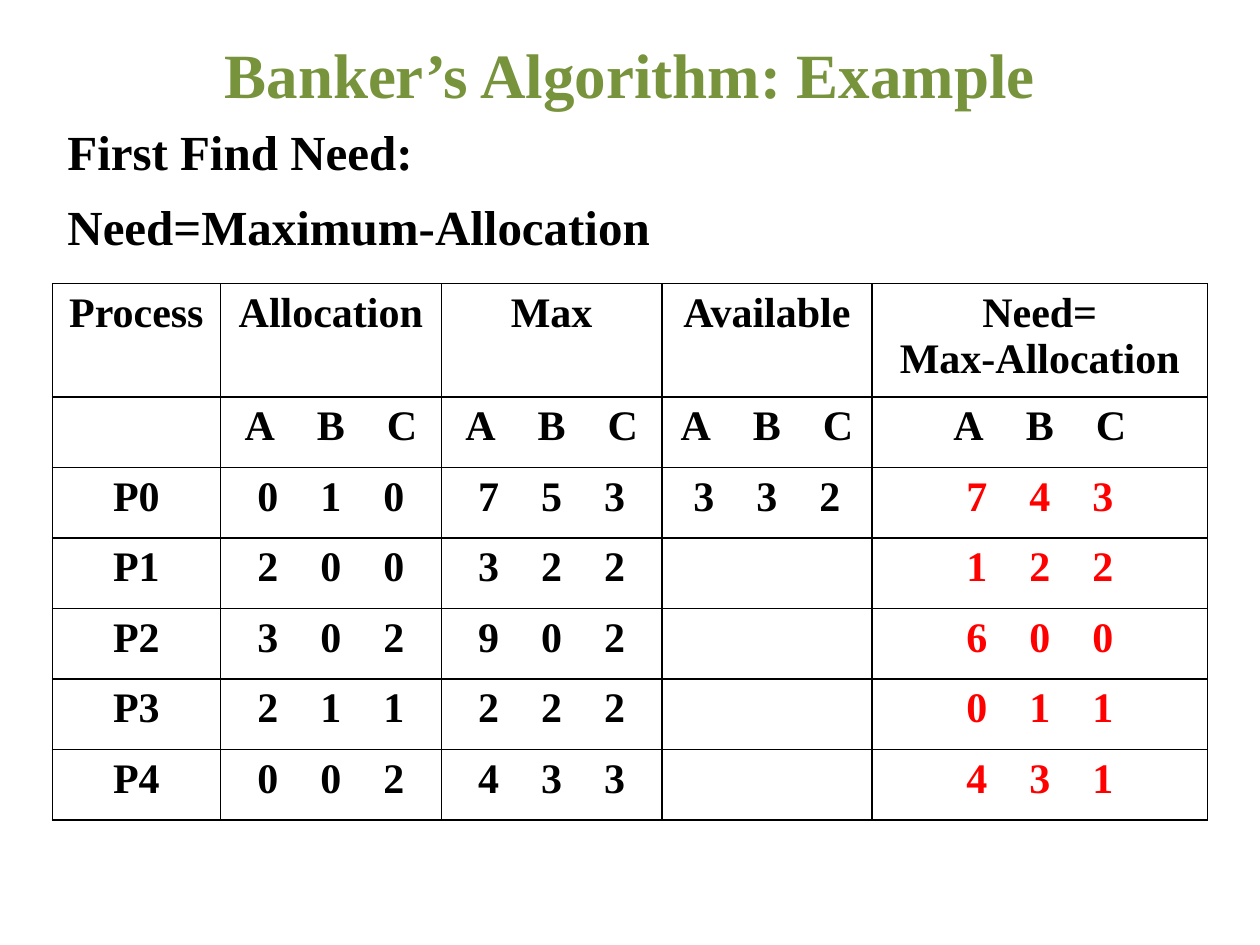
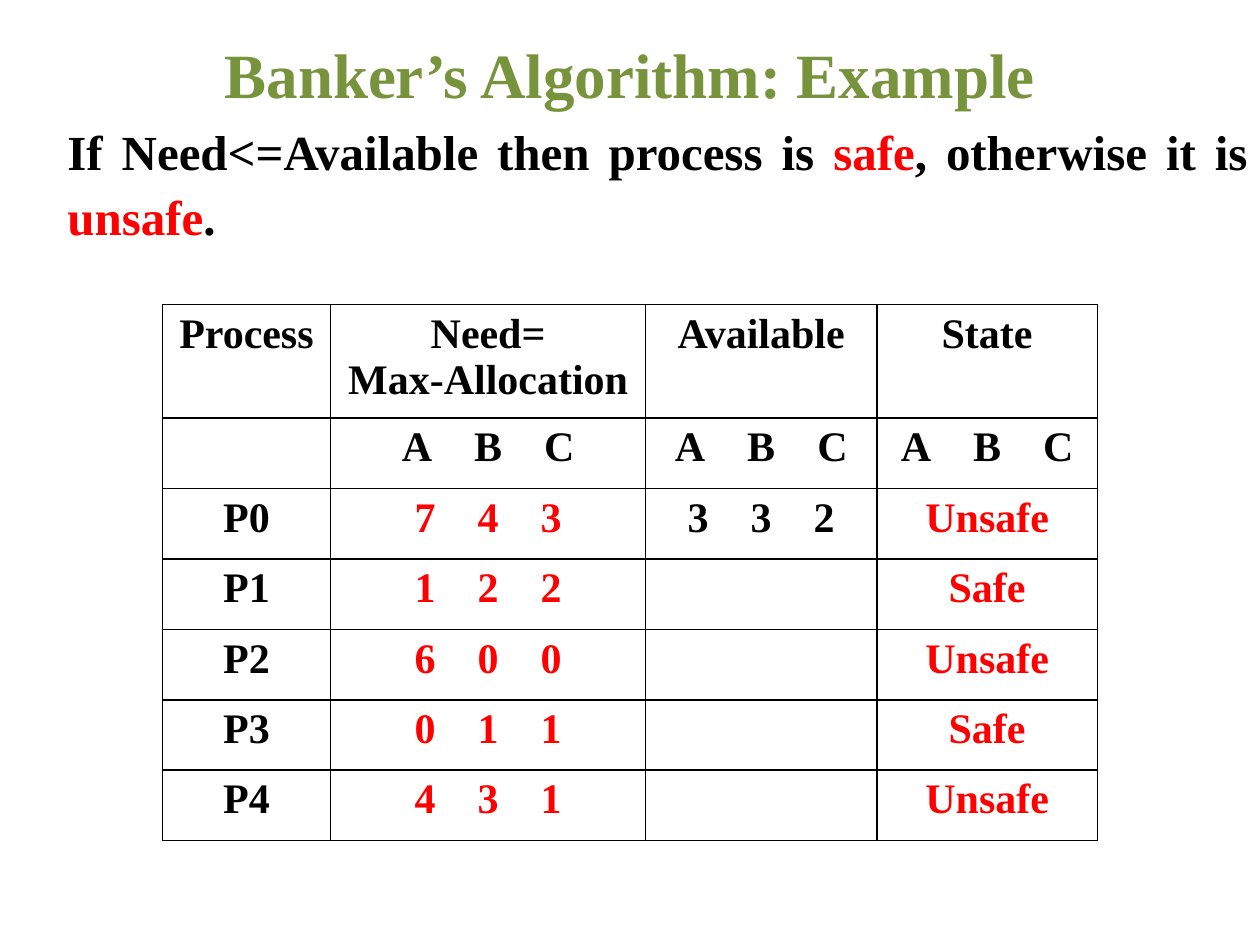
from lxml import etree
from pptx import Presentation
from pptx.dml.color import RGBColor
from pptx.enum.text import MSO_ANCHOR, PP_ALIGN
from pptx.oxml.ns import qn
from pptx.util import Cm, Pt

CENTER, JUSTIFY = PP_ALIGN.CENTER, PP_ALIGN.JUSTIFY
MIDDLE = MSO_ANCHOR.MIDDLE

FONT = "Times New Roman"
GREEN, BLACK, RED = "77933C", "000000", "FF0000"
PAGE_WIDTH, PAGE_HEIGHT = 25.4, 19.05
BODY_TOP = 2.21
HEADER_HEIGHT, ROW_HEIGHT = 2.13, 1.42
GAP_SPACING = 1800  # widens the single space between resource counts, in 1/100 pt


def hex_color(value):
    return RGBColor.from_string(value)


def add_span(para, text, size, color):
    span = para.add_run()
    span.text = text
    span.font.name = FONT
    span.font.size = Pt(size)
    span.font.bold = True
    span.font.color.rgb = hex_color(color)
    return span


# The banker's data: need and state follow from allocation, maximum and available
resources = "A B C"
available = (3, 3, 2)
allocations = [(0, 1, 0), (2, 0, 0), (3, 0, 2), (2, 1, 1), (0, 0, 2)]
maximums = [(7, 5, 3), (3, 2, 2), (9, 0, 2), (2, 2, 2), (4, 3, 3)]
needs = [tuple(most - held for most, held in zip(maximum, allocation))
         for maximum, allocation in zip(maximums, allocations)]
states = ["Safe" if all(need <= free for need, free in zip(row, available)) else "Unsafe"
          for row in needs]

# Each column: heading, second heading, entries, colour of the entries, width
process_column = ("Process", "", [f"P{i}" for i in range(len(needs))], BLACK, 3.39)
need_column = ("Need=\nMax-Allocation", resources, needs, RED)
available_column = ("Available", resources, [available, "", "", "", ""], BLACK)

pages = [
    {
        "body": [[("First Find Need:", BLACK)], [("Need=Maximum-Allocation", BLACK)]],
        "table_top": 5.72,
        "columns": [
            process_column,
            ("Allocation", resources, allocations, BLACK, 4.45),
            ("Max", resources, maximums, BLACK, 4.45),
            (*available_column, 4.23),
            (*need_column, 6.77),
        ],
    },
    {
        "body": [[("If Need<=Available then process is ", BLACK), ("safe", RED),
                  (", otherwise it is ", BLACK), ("unsafe", RED), (".", BLACK)]],
        "table_top": 6.14,
        "columns": [
            process_column,
            (*need_column, 6.35),
            (*available_column, 4.66),
            ("State", resources, states, RED, 4.45),
        ],
    },
]

deck = Presentation()
deck.slide_width, deck.slide_height = Cm(PAGE_WIDTH), Cm(PAGE_HEIGHT)

for content in pages:
    page = deck.slides.add_slide(deck.slide_layouts[6])

    # Body text
    box = page.shapes.add_textbox(0, Cm(BODY_TOP), Cm(PAGE_WIDTH), Cm(PAGE_HEIGHT - BODY_TOP))
    frame = box.text_frame
    frame.word_wrap = True
    for index, spans in enumerate(content["body"]):
        para = frame.add_paragraph() if index else frame.paragraphs[0]
        para.alignment = JUSTIFY
        para.line_spacing = 1.1
        para.space_before = Pt(5.6) if index else Pt(0)
        para._p.get_or_add_pPr().set("marL", str(Cm(1.11)))
        for text, color in spans:
            add_span(para, text, 28, color)

    # Title
    box = page.shapes.add_textbox(0, 0, Cm(PAGE_WIDTH), Cm(2.97))
    frame = box.text_frame
    frame.word_wrap = True
    frame.vertical_anchor = MIDDLE
    frame.paragraphs[0].alignment = CENTER
    add_span(frame.paragraphs[0], "Banker’s Algorithm: Example", 36, GREEN)

    # Table, centred across the page
    columns = content["columns"]
    row_count = 2 + len(needs)
    width = sum(column[-1] for column in columns)
    height = HEADER_HEIGHT + ROW_HEIGHT * (row_count - 1)
    table = page.shapes.add_table(row_count, len(columns), Cm((PAGE_WIDTH - width) / 2),
                                  Cm(content["table_top"]), Cm(width), Cm(height)).table
    table.first_row = table.horz_banding = False
    for index, row in enumerate(table.rows):
        row.height = Cm(ROW_HEIGHT if index else HEADER_HEIGHT)

    for col, (heading, subheading, entries, entry_color, col_width) in enumerate(columns):
        table.columns[col].width = Cm(col_width)
        for row, entry in enumerate([heading, subheading, *entries]):
            cell = table.cell(row, col)
            properties = cell._tc.get_or_add_tcPr()
            for side in ("a:lnL", "a:lnR", "a:lnT", "a:lnB"):
                line = etree.SubElement(properties, qn(side), w=str(Pt(1)))
                fill = etree.SubElement(line, qn("a:solidFill"))
                etree.SubElement(fill, qn("a:srgbClr"), val=BLACK)
            cell.fill.background()

            color = entry_color if row > 1 else BLACK
            text = entry if isinstance(entry, str) else " ".join(map(str, entry))
            for index, line_text in enumerate(text.split("\n")):
                para = cell.text_frame.add_paragraph() if index else cell.text_frame.paragraphs[0]
                para.alignment = CENTER
                for position, word in enumerate(line_text.split()):
                    if position:
                        gap = add_span(para, " ", 24, color)
                        gap._r.get_or_add_rPr().set("spc", str(GAP_SPACING))
                    add_span(para, word, 24, color)

deck.save("out.pptx")
